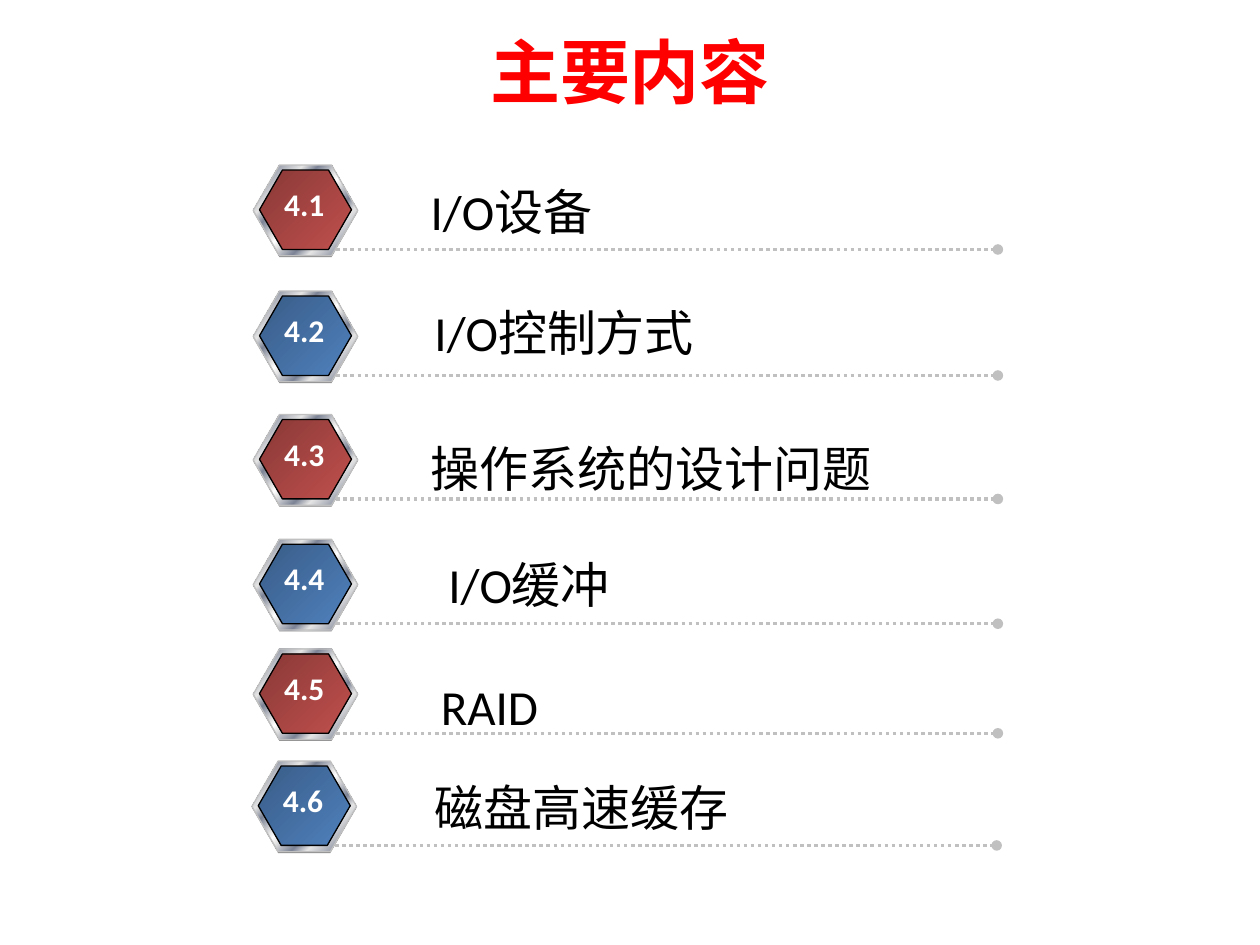
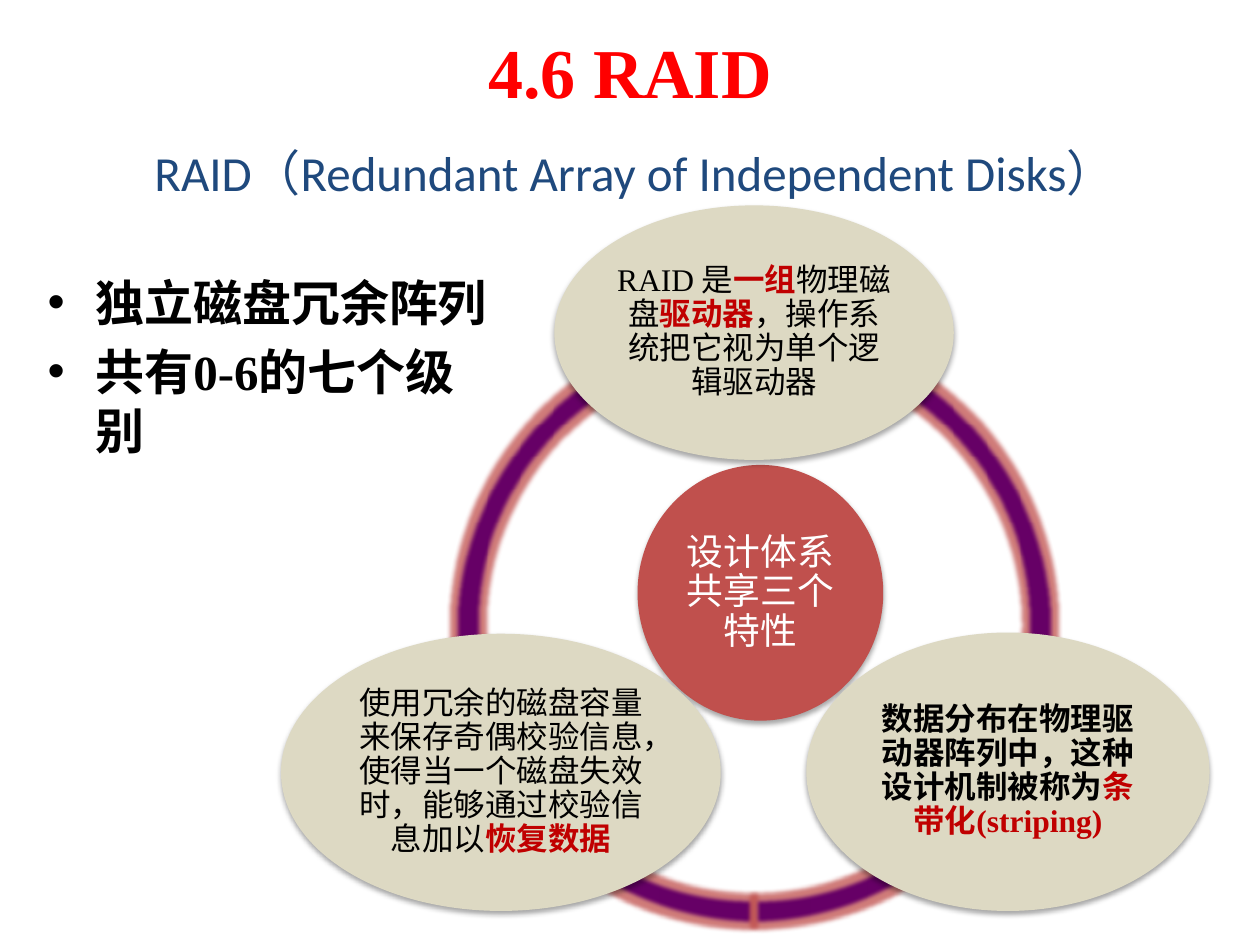
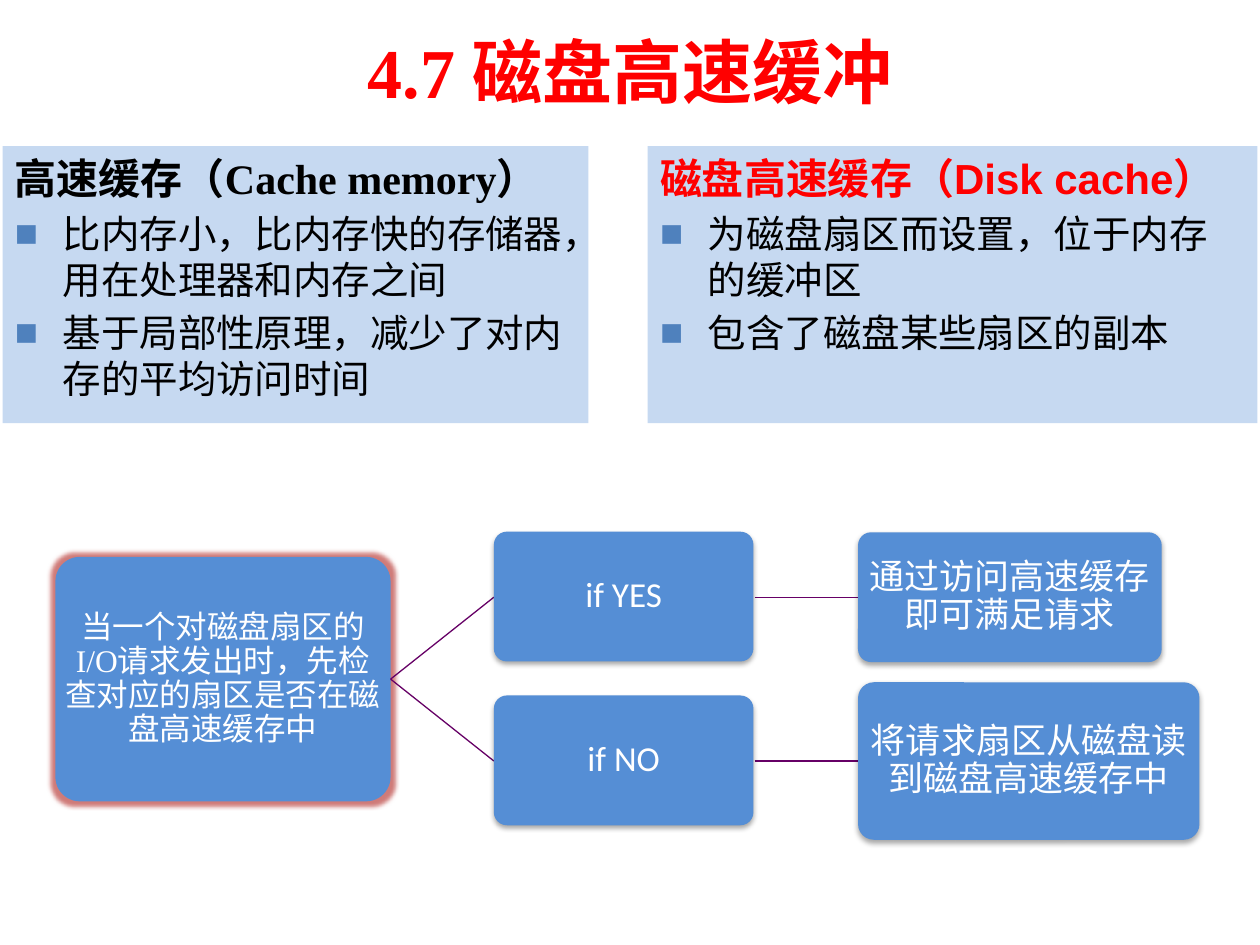
from lxml.etree import SubElement
from pptx import Presentation
from pptx.dml.color import RGBColor
from pptx.enum.dml import MSO_LINE
from pptx.enum.shapes import MSO_CONNECTOR, MSO_SHAPE
from pptx.enum.text import MSO_ANCHOR, PP_ALIGN
from pptx.oxml.ns import qn
from pptx.util import Inches, Pt

HUES = {
    "red": "FF0000", "deep": "C00000", "black": "000000", "white": "FFFFFF",
    "navy": "1F497D", "plum": "660066", "brick": "C0504D", "wine": "893937",
    "blue": "4F81BD", "dusk": "395C87", "sky": "558ED5", "pale": "C6D9F1",
    "sand": "DDD9C3", "grey": "808080", "rim": "C0C0C0", "light": "E6E6E6",
    "steel": "7D8496",
}
SERIF, SANS = "Times New Roman", "Calibri"
LOOKS = {
    "title": dict(name=SERIF, size=40, bold=True, color="red"),
    "sub": dict(name=SANS, size=28, color="navy"),
    "item": dict(name=SANS, size=28, color="black"),
    "num": dict(name=SANS, size=18, bold=True, color="white"),
    "point": dict(name=SERIF, size=28, bold=True, color="black"),
    "hub": dict(name=SANS, size=21, color="white"),
    "note": dict(name=SERIF, size=18, color="black"),
    "strong": dict(name=SERIF, size=18, bold=True, color="black"),
    "key": dict(name=SERIF, size=18, bold=True, color="deep"),
    "cache": dict(name=SERIF, size=24, bold=True, color="black"),
    "disk": dict(name="Arial", size=24, bold=True, color="red"),
    "body": dict(name=SERIF, size=22, color="black"),
    "ask": dict(name=SERIF, size=18, color="white"),
    "test": dict(name=SANS, size=20, color="white"),
    "act": dict(name=SERIF, size=20, color="white"),
}
MID = dict(alignment=PP_ALIGN.CENTER)
TIGHT = dict(MID, line_spacing=0.9)
METAL = [(0, "light"), (8, "steel"), (26, "light"), (34, "steel"),
         (46, "light"), (50, "white"), (54, "light"), (66, "steel"),
         (74, "light"), (92, "steel"), (100, "light")]
HEX = (0.289, 1.155)
DROP = ("outerShdw", dict(blurRad=Pt(3.1), dist=Pt(1.8), dir=5400000,
                          algn="ctr", rotWithShape=0), "black", 35)
GLOW = ("glow", dict(rad=Pt(5)), "brick", 75)


def rgb(hue):
    return RGBColor.from_string(HUES[hue])


def apply(thing, form):
    for key, val in form.items():
        setattr(thing, key, val)


def node(root, tag, **atts):
    return SubElement(root, qn("a:" + tag), {k: str(v) for k, v in atts.items()})


class Deck:
    def __init__(self):
        self.prs = Presentation()
        apply(self.prs, dict(slide_width=Inches(10), slide_height=Inches(7.5)))
        self.slide = None

    def page(self, title):
        self.slide = self.prs.slides.add_slide(self.prs.slide_layouts[6])
        self.text((0.5, 0.05, 9, 1.02), title, "title", MID,
                  vertical_anchor=MSO_ANCHOR.MIDDLE)

    def para(self, frame, runs, look, form, mark=None, hue=None):
        """Write one paragraph; a run is a string or a (string, look) pair."""
        para = frame.paragraphs[0]
        if para.runs:
            para = frame.add_paragraph()
            para.space_before = Pt(round(LOOKS[look]["size"] * 0.2))
        if mark:
            props = para._p.get_or_add_pPr()
            props.set("marL", str(Inches(0.38)))
            props.set("indent", str(-Inches(0.38)))
            if hue:
                node(node(props, "buClr"), "srgbClr", val=HUES[hue])
            node(props, "buFont", typeface="Arial")
            node(props, "buChar", char=mark)
        apply(para, form)
        for part in [runs] if isinstance(runs, str) else runs:
            words, kind = (part, look) if isinstance(part, str) else part
            run = para.add_run()
            run.text = words
            style = dict(LOOKS[kind])
            run.font.color.rgb = rgb(style.pop("color"))
            apply(run.font, dict(style, size=Pt(style["size"])))

    def text(self, at, runs, look, form, **box):
        frame = self.slide.shapes.add_textbox(*map(Inches, at)).text_frame
        apply(frame, {"word_wrap": True, **box})
        self.para(frame, runs, look, form)
        return frame

    def shape(self, kind, at, fill, edge=None, adj=(), effect=None, soft=0):
        """Draw a preset; fill is a colour name or a list of gradient stops."""
        shape = self.slide.shapes.add_shape(kind, *map(Inches, at))
        shape.shadow.inherit = False
        for i, val in enumerate(adj):
            shape.adjustments[i] = val
        if isinstance(fill, str):
            shape.fill.solid()
            shape.fill.fore_color.rgb = rgb(fill)
        else:
            shape.fill.gradient()
            shape.fill.gradient_angle = 315
            stops = shape._element.spPr.find(".//" + qn("a:gsLst"))
            for old in list(stops):
                stops.remove(old)
            for pos, hue in fill:
                node(node(stops, "gs", pos=pos * 1000), "srgbClr", val=HUES[hue])
        if edge:
            shape.line.color.rgb = rgb(edge)
            shape.line.width = Pt(0.75)
        else:
            shape.line.fill.background()
        if effect:
            tag, atts, hue, alpha = effect
            group = shape._element.spPr.find(qn("a:effectLst"))
            tint = node(node(group, tag, **atts), "srgbClr", val=HUES[hue])
            node(tint, "alpha", val=alpha * 1000)
            if soft:
                node(group, "softEdge", rad=Pt(soft))
        return shape

    def label(self, shape, runs, look, gap):
        frame = shape.text_frame
        sides = ("left", "right", "top", "bottom")
        apply(frame, {"margin_" + side: Inches(gap) for side in sides})
        apply(frame, dict(word_wrap=True, vertical_anchor=MSO_ANCHOR.MIDDLE))
        self.para(frame, runs, look, TIGHT)

    def line(self, ends, hue, width, dots=False):
        line = self.slide.shapes.add_connector(
            MSO_CONNECTOR.STRAIGHT, *map(Inches, ends))
        line.line.color.rgb = rgb(hue)
        line.line.width = Pt(width)
        if dots:
            line.line.dash_style = MSO_LINE.ROUND_DOT
            node(line.line._get_or_add_ln(), "tailEnd", type="oval")
        node(line._element.spPr, "effectLst")

    def badge(self, num, x, y, dark, hue):
        """Draw a metal-rimmed hexagon with its number and dotted rule."""
        kind = MSO_SHAPE.HEXAGON
        self.shape(kind, (x, y, 0.83, 0.72), "grey", adj=HEX)
        self.shape(kind, (x, y - 0.01, 0.83, 0.72), METAL, "rim", HEX)
        self.shape(kind, (x + 0.05, y + 0.03, 0.73, 0.63),
                   [(0, dark), (100, hue)], "black", HEX)
        self.line((x + 0.66, y + 0.66, x + 5.91, y + 0.66), "rim", 2, True)
        self.text((x + 0.07, y + 0.1, 0.67, 0.51), num, "num", MID,
                  word_wrap=False)

    def oval(self, at, runs, look, fill="sand"):
        shape = self.shape(MSO_SHAPE.OVAL, at, fill, effect=DROP)
        self.label(shape, runs, look, 0.03)

    def box(self, at, words, look, effect=DROP):
        shape = self.shape(MSO_SHAPE.ROUNDED_RECTANGLE, at, "sky",
                           adj=(0.1,), effect=effect)
        self.label(shape, words, look, 0.01)

    def panel(self, left, width, head, look, points):
        shape = self.shape(MSO_SHAPE.RECTANGLE, (left, 1.16, width, 2.2), "pale")
        frame = shape.text_frame
        frame.vertical_anchor = MSO_ANCHOR.TOP
        form = dict(alignment=PP_ALIGN.LEFT)
        self.para(frame, head, look, form)
        for point in points:
            self.para(frame, point, "body", form, "■", "blue")


def topics(deck):
    deck.page("主要内容")
    rows = [
        ("I/O设备", 2.01, 1.32, 3.32, 1.39),
        ("I/O控制方式", 2.01, 2.32, 3.35, 2.35),
        ("操作系统的设计问题", 2.01, 3.3, 3.32, 3.43),
        ("I/O缓冲", 2.01, 4.29, 3.46, 4.35),
        ("RAID", 2.01, 5.16, 3.4, 5.32),
        ("磁盘高速缓存", 2, 6.05, 3.35, 6.12),
    ]
    tones = [("wine", "brick"), ("dusk", "blue")]
    for i, (words, x, y, left, top) in enumerate(rows):
        deck.badge(f"4.{i + 1}", x, y, *tones[i % 2])
        deck.text((left, top, 3.94, 0.57), words, "item", {})


def raid(deck):
    deck.page("4.6 RAID")
    deck.text((0.08, 1.05, 9.92, 0.63),
              "RAID（Redundant Array of Independent Disks）", "sub", MID,
              vertical_anchor=MSO_ANCHOR.MIDDLE)
    for start, end in ((90, 162), (18, 90), (162, 18)):
        deck.shape(MSO_SHAPE.BLOCK_ARC, (3.61, 2.59, 4.75, 4.75), "plum",
                   adj=(start * 0.6, end * 0.6, 0.046), effect=GLOW, soft=2.5)
    deck.oval((5.06, 3.69, 1.95, 2.03), "设计体系共享三个特性", "hub", "brick")
    deck.oval((4.4, 1.63, 3.17, 2.02),
              ["RAID 是", ("一组", "key"), "物理磁盘", ("驱动器", "key"),
               "，操作系统把它视为单个逻辑驱动器"], "note")
    deck.oval((6.4, 5.02, 3.2, 2.21),
              ["数据分布在物理驱动器阵列中，这种设计机制被称为",
               ("条带化(striping)", "key")], "strong")
    deck.oval((2.23, 5.03, 3.49, 2.2),
              ["使用冗余的磁盘容量来保存奇偶校验信息，使得当一个磁盘失效时，"
               "能够通过校验信息加以", ("恢复数据", "key")], "note")
    frame = deck.slide.shapes.add_textbox(
        *map(Inches, (0.28, 2.11, 3.7, 1.65))).text_frame
    frame.word_wrap = True
    for point in ("独立磁盘冗余阵列", "共有0-6的七个级别"):
        deck.para(frame, point, "point", {}, "•")


def cache(deck):
    deck.page("4.7 磁盘高速缓冲")
    deck.panel(0.02, 4.65, "高速缓存（Cache memory）", "cache",
               ["比内存小，比内存快的存储器，用在处理器和内存之间",
                "基于局部性原理，减少了对内存的平均访问时间"])
    deck.panel(5.14, 4.84, "磁盘高速缓存（Disk cache）", "disk",
               ["为磁盘扇区而设置，位于内存的缓冲区",
                "包含了磁盘某些扇区的副本"])
    deck.box((0.44, 4.42, 2.66, 1.94),
             "当一个对磁盘扇区的I/O请求发出时，先检查对应的扇区是否在磁盘高速缓存中",
             "ask", GLOW)
    paths = [
        ("if YES", 4.74, "通过访问高速缓存即可满足请求", 2.41, 1.03),
        ("if NO", 6.04, "将请求扇区从磁盘读到磁盘高速缓存中", 2.71, 1.25),
    ]
    for test, mid, act, width, high in paths:
        deck.line((3.1, 5.39, 3.92, mid), "plum", 0.75)
        deck.line((5.99, mid, 6.81, mid), "plum", 0.75)
        deck.box((3.92, mid - 0.52, 2.06, 1.03), test, "test")
        deck.box((6.81, mid - high / 2, width, high), act, "act")


def main():
    deck = Deck()
    for build in (topics, raid, cache):
        build(deck)
    deck.prs.save("out.pptx")


if __name__ == "__main__":
    main()
